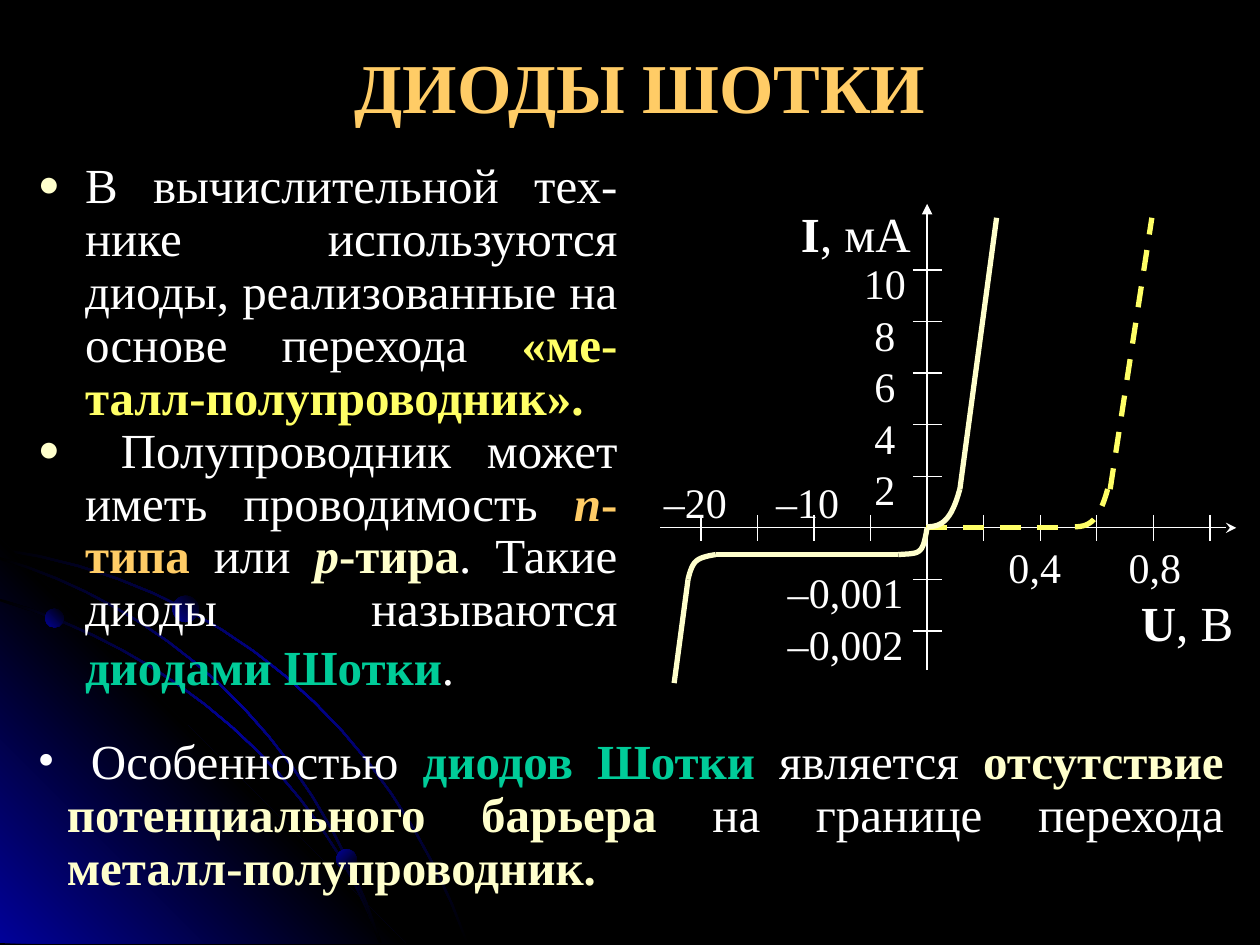
"""Build the slide on Schottky diodes with their current-voltage curves."""
from typing import NamedTuple

from lxml import etree
from pptx import Presentation
from pptx.dml.color import RGBColor
from pptx.enum.dml import MSO_LINE
from pptx.enum.shapes import MSO_CONNECTOR, MSO_SHAPE
from pptx.enum.text import MSO_ANCHOR, MSO_AUTO_SIZE, PP_ALIGN
from pptx.oxml.ns import qn
from pptx.util import Cm, Pt

STRAIGHT, OVAL, DASH = MSO_CONNECTOR.STRAIGHT, MSO_SHAPE.OVAL, MSO_LINE.DASH
CENTER, JUSTIFY = PP_ALIGN.CENTER, PP_ALIGN.JUSTIFY
TOP, NO_FIT = MSO_ANCHOR.TOP, MSO_AUTO_SIZE.NONE
SERIF = "Times New Roman"
BLACK, BLUE, WHITE = "000000", "010199", "FFFFFF"
CREAM, YELLOW, ORANGE, GREEN = "FFFFCC", "FFFF66", "FFCC66", "00CC99"
X0, Y0, DX, DY = 18.69, 10.64, 1.14, 1.04


class Run(NamedTuple):
    text: str
    color: str = WHITE
    bold: bool = False
    italic: bool = False
    size: int = 28
    font: str = SERIF


class Bullet(NamedTuple):
    char: str
    color: str
    percent: int
    hang: float


class Box(NamedTuple):
    left: float
    top: float
    width: float
    height: float


class Stroke(NamedTuple):
    points: list
    color: str = CREAM
    dashed: bool = False


def rgb(value: str) -> RGBColor:
    return RGBColor.from_string(value)


def place(sp, box: Box) -> None:
    sp.left, sp.top, sp.width, sp.height = (Cm(v) for v in box)


def add_runs(p, runs: list) -> None:
    for run in runs:
        r = p.add_run()
        r.text = run.text
        f = r.font
        f.name, f.size, f.bold, f.italic = run.font, Pt(run.size), run.bold, run.italic
        f.color.rgb = rgb(run.color)


def add_bullet(p, bullet: Bullet) -> None:
    ppr = p._p.get_or_add_pPr()
    ppr.set("marL", str(Cm(bullet.hang)))
    ppr.set("indent", str(-Cm(bullet.hang)))
    color = etree.SubElement(ppr, qn("a:buClr"))
    etree.SubElement(color, qn("a:srgbClr"), val=bullet.color)
    etree.SubElement(ppr, qn("a:buSzPct"), val=str(bullet.percent * 1000))
    etree.SubElement(ppr, qn("a:buFont"), typeface=SERIF)
    etree.SubElement(ppr, qn("a:buChar"), char=bullet.char)


def fill_list(sp, items: list, bullet: Bullet) -> None:
    tf = sp.text_frame
    tf.word_wrap, tf.auto_size, tf.vertical_anchor = True, NO_FIT, TOP
    for i, runs in enumerate(items):
        p = tf.add_paragraph() if i else tf.paragraphs[0]
        add_bullet(p, bullet)
        p.alignment, p.line_spacing, p.space_before = JUSTIFY, 0.9, Pt(0)
        add_runs(p, runs)


def add_label(s, box: Box, runs: list) -> None:
    sp = s.shapes.add_textbox(*(Cm(v) for v in box))
    tf = sp.text_frame
    tf.word_wrap = True
    tf.margin_left = tf.margin_right = tf.margin_top = tf.margin_bottom = 0
    tf.paragraphs[0].alignment = CENTER
    add_runs(tf.paragraphs[0], runs)


def add_gradient(sp, colors: list, angle: int) -> None:
    sp.shadow.inherit = False
    sp.line.fill.background()
    sp.fill.gradient()
    grad = sp._element.spPr.find(qn("a:gradFill"))
    for child in list(grad):
        grad.remove(child)
    stops = etree.SubElement(grad, qn("a:gsLst"))
    for i, color in enumerate(colors):
        gs = etree.SubElement(stops, qn("a:gs"), pos=str(100000 * i // (len(colors) - 1)))
        etree.SubElement(gs, qn("a:srgbClr"), val=color)
    etree.SubElement(grad, qn("a:lin"), ang=str(angle * 60000), scaled="0")


def bezier(ctrl: list, steps: int = 16) -> list:
    pts = []
    for i in range(steps + 1):
        t = i / steps
        weights = ((1 - t) ** 3, 3 * t * (1 - t) ** 2, 3 * t * t * (1 - t), t ** 3)
        pts.append(tuple(sum(w * c[k] for w, c in zip(weights, ctrl)) for k in (0, 1)))
    return pts


def add_outline(s, pts: list, close: bool):
    emu = [(Cm(x), Cm(y)) for x, y in pts]
    builder = s.shapes.build_freeform(*emu[0])
    builder.add_line_segments(emu[1:], close=close)
    sp = builder.convert_to_shape()
    sp.shadow.inherit = False
    return sp


def add_arc(s, ctrl: list) -> None:
    inner = [(x - 0.05 * i / 3, y + 0.05 * (3 - i) / 3) for i, (x, y) in enumerate(ctrl)]
    sp = add_outline(s, bezier(ctrl) + bezier(inner)[::-1], True)
    add_gradient(sp, [BLACK, BLUE, BLACK], 225)


def add_line(s, start: tuple, end: tuple, color: str = WHITE, width: float = 0.75,
             dashed: bool = False, head: str = "") -> None:
    cn = s.shapes.add_connector(STRAIGHT, *(Cm(v) for v in start + end))
    cn.line.color.rgb, cn.line.width = rgb(color), Pt(width)
    if dashed:
        cn.line.dash_style = DASH
    if head:
        etree.SubElement(cn.line._get_or_add_ln(), qn("a:tailEnd"), type=head)
    etree.SubElement(cn._element.spPr, qn("a:effectLst"))


def add_stroke(s, stroke: Stroke) -> None:
    if len(stroke.points) == 2:
        add_line(s, *stroke.points, stroke.color, 3, stroke.dashed)
        return
    sp = add_outline(s, bezier(stroke.points), False)
    sp.fill.background()
    sp.line.color.rgb, sp.line.width = rgb(stroke.color), Pt(3)
    if stroke.dashed:
        sp.line.dash_style = DASH


def draw_backdrop(s) -> None:
    s.background.fill.solid()
    s.background.fill.fore_color.rgb = rgb(BLACK)
    add_arc(s, [(0, 11.05), (4.37, 11.68), (7.85, 14.6), (9.45, 19.02)])
    corner = add_outline(s, [(8.18, 19.02), (0, 19.02), (0, 10.85)], True)
    add_gradient(corner, [BLUE, BLACK, BLUE], 135)
    add_arc(s, [(0, 12.07), (3.43, 13.06), (6.48, 15.6), (7.7, 19.02)])
    add_arc(s, [(0, 11.23), (3.05, 12.14), (6.25, 14.55), (7.7, 19.02)])
    for x, y, d, angle in ((0.91, 12.27, 0.38, 135), (6.78, 17.12, 0.41, 225),
                           (3.48, 12.01, 0.53, 135)):
        sp = s.shapes.add_shape(OVAL, Cm(x), Cm(y), Cm(d), Cm(d))
        add_gradient(sp, [BLACK, BLUE], angle)


def draw_plot(s) -> None:
    for i in (-4, -3, -2, -1, 1, 2, 3, 4, 5):
        x = X0 + i * DX
        add_line(s, (x, Y0 - 0.26), (x, Y0 + 0.26))
    for i, text in ((5, "10"), (4, "8"), (3, "6"), (2, "4"), (1, "2"),
                    (-1, "–0,001"), (-2, "–0,002")):
        y = Y0 - i * DY
        add_line(s, (X0 - 0.29, y), (X0 + 0.29, y))
        left, width = (17.27, 1.14) if i > 0 else (15.7, 2.69)
        add_label(s, Box(left, y - 0.25, width, 0.79), [Run(text, size=24)])
    add_line(s, (X0, 13.51), (X0, 4.11), head="triangle")
    add_line(s, (13.31, Y0), (24.92, Y0), head="stealth")
    for left, top, width, text in ((13.31, 9.6, 1.42, "–20"), (15.57, 9.6, 1.42, "–10"),
                                   (20.29, 10.92, 1.14, "0,4"), (22.71, 10.92, 1.14, "0,8")):
        add_label(s, Box(left, top, width, 0.79), [Run(text, size=24)])
    add_label(s, Box(16.1, 4.11, 2.31, 1.04), [Run("I", bold=True), Run(", мА")])
    add_label(s, Box(22.94, 11.94, 1.98, 0.79), [Run("U", bold=True), Run(", В")])
    knee = [(18.69, 10.62), (18.98, 10.62), (19.18, 10.5), (19.35, 9.86)]
    for stroke in (
        Stroke([(18.67, Y0), (21.51, Y0)], YELLOW, True),
        Stroke([(x + 2.98, y) for x, y in knee], YELLOW, True),
        Stroke([(22.38, 9.86), (23.22, 4.39)], YELLOW, True),
        Stroke(knee),
        Stroke([(19.35, 9.86), (20.09, 4.39)]),
        Stroke([(X0, Y0), (18.6, 11.2), (18.55, 11.15), (18.11, 11.18)]),
        Stroke([(14.43, 11.18), (18.11, 11.18)]),
        Stroke([(14.43, 11.18), (14.02, 11.25), (13.97, 11.3), (13.87, 11.68)]),
        Stroke([(13.87, 11.68), (13.59, 13.77)]),
    ):
        add_stroke(s, stroke)


def main() -> None:
    prs = Presentation()
    prs.slide_width, prs.slide_height = Cm(25.4), Cm(19.05)
    s = prs.slides.add_slide(prs.slide_layouts[1])
    title, body = s.placeholders
    draw_backdrop(s)
    for sp in (body, title):
        s.shapes._spTree.append(sp._element)
    place(title, Box(1.5, 0.75, 22.81, 1.96))
    title.text_frame.vertical_anchor, title.text_frame.auto_size = TOP, NO_FIT
    title.text_frame.paragraphs[0].alignment = CENTER
    add_runs(title.text_frame.paragraphs[0], [Run("ДИОДЫ ШОТКИ", ORANGE, True, size=40)])
    place(body, Box(0.51, 3.12, 12.19, 11.2))
    fill_list(body, [
        [Run("В вычислительной тех-нике используются диоды, реализованные на основе перехода "),
         Run("«ме-талл-полупроводник».", YELLOW, True)],
        [Run(" Полупроводник может иметь проводимость "), Run("n", ORANGE, True, True),
         Run("-типа", ORANGE, True), Run(" или "), Run("р", CREAM, True, True),
         Run("-тира", CREAM, True), Run(". Такие диоды называются "),
         Run("диодами Шотки", GREEN, True), Run("."), Run(" ", size=32, font="Arial")],
    ], Bullet("●", CREAM, 75, 0.95))
    draw_plot(s)
    note = s.shapes.add_textbox(Cm(0.51), Cm(14.73), Cm(24.41), Cm(3.45))
    fill_list(note, [
        [Run(" Особенностью "), Run("диодов Шотки", GREEN, True), Run(" является "),
         Run("отсутствие потенциального барьера", CREAM, True),
         Run(" на границе перехода "), Run("металл-полупроводник.", CREAM, True)],
    ], Bullet("•", WHITE, 100, 0.59))
    prs.save("out.pptx")


if __name__ == "__main__":
    main()
